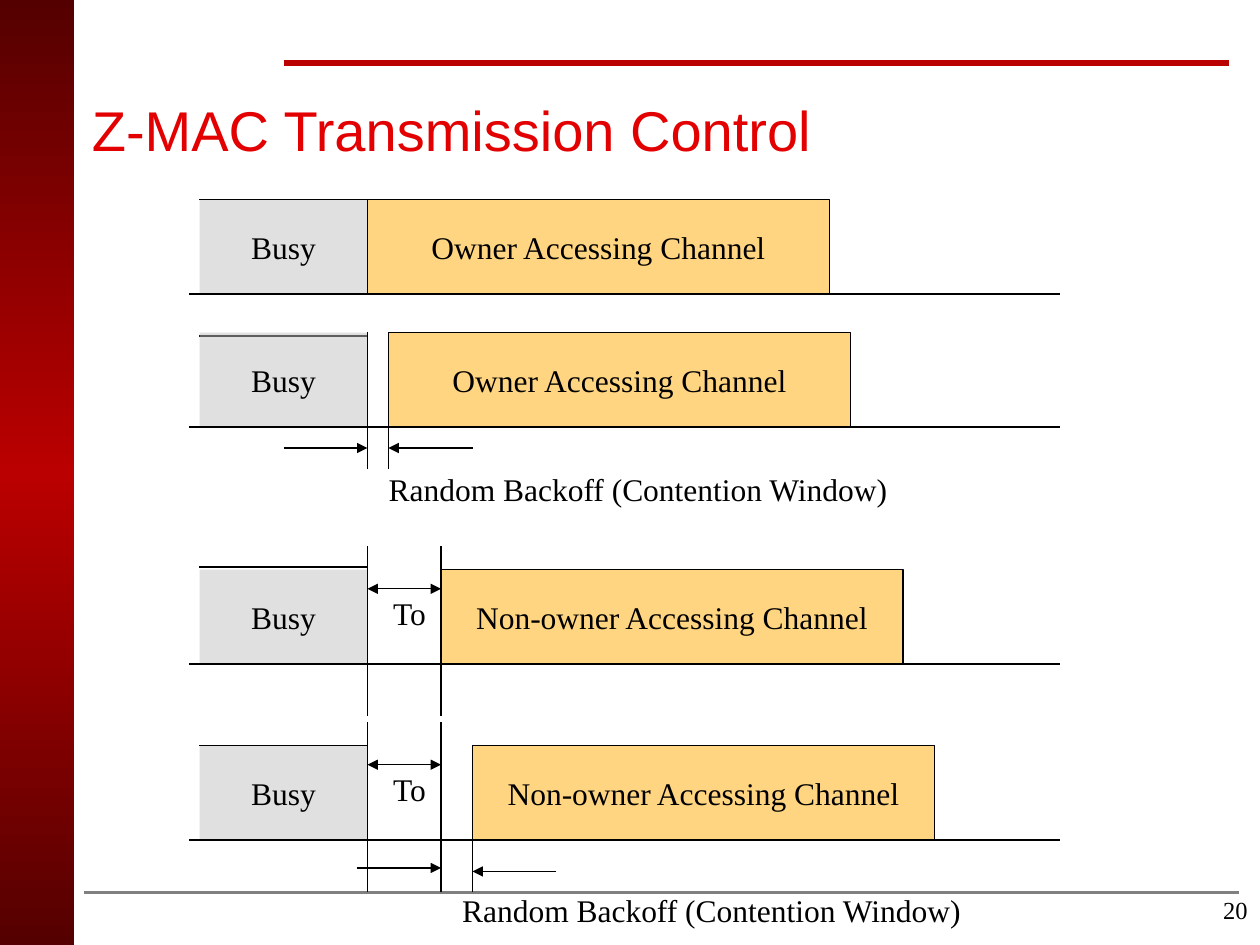
from copy import deepcopy

from lxml import etree
from pptx import Presentation
from pptx.dml.color import RGBColor
from pptx.enum import shapes, text
from pptx.oxml import ns
from pptx.util import Pt

BUSY, FREE, SLOT = 114, 210, 252  # x of busy start, busy end, To end
TALL, LONG = 54, 264  # height of a bar, width of an access bar
WAIT = "Random Backoff (Contention Window)"


def color(code):
    return RGBColor.from_string(code)


def sub(node, tag, **attrs):
    """Append a DrawingML element to a node."""
    return etree.SubElement(node, ns.qn("a:" + tag), **attrs)


def write(frame, words, size=18, font="Times New Roman", ink="000000",
          align="LEFT", anchor="TOP", wrap=False, inset=(7.2, 3.6),
          grow=False, space=None):
    frame.word_wrap = wrap
    frame.vertical_anchor = getattr(text.MSO_ANCHOR, anchor)
    frame.margin_left = frame.margin_right = Pt(inset[0])
    frame.margin_top = frame.margin_bottom = Pt(inset[1])
    if grow:
        frame.auto_size = text.MSO_AUTO_SIZE.SHAPE_TO_FIT_TEXT
    para = frame.paragraphs[0]
    para.alignment = getattr(text.PP_ALIGN, align)
    if space:
        para.line_spacing = space
    run = para.add_run()
    run.text = words
    run.font.size = Pt(size)
    run.font.name = font
    run.font.color.rgb = color(ink)


class Board:
    """Holds the style and the current slide."""
    ink, grey, gold = "000000", "C0C0C0", "FFCC66"
    thin = 0.75

    def __init__(self, slide):
        self.slide = slide

    def rect(self, x, y, w, h):
        box = self.slide.shapes.add_shape(
            shapes.MSO_SHAPE.RECTANGLE, Pt(x), Pt(y), Pt(w), Pt(h))
        box.shadow.inherit = False
        box.line.fill.background()
        return box

    def band(self, x, y, w, h, edge, core):
        """Draw a strip that fades from edge to core and back."""
        box = self.rect(x, y, w, h)
        box.fill.gradient()
        box.fill.gradient_angle = 90
        stops = box.fill.gradient_stops
        for stop, tint, spot in zip(stops, (edge, core), (0, 0.5)):
            stop.color.rgb = color(tint)
            stop.position = spot
        items = box._element.spPr.find(".//" + ns.qn("a:gsLst"))
        last = deepcopy(items[0])
        last.set("pos", "100000")
        items.append(last)

    def bar(self, x, y, w, words, fill, alpha, edge=False):
        box = self.rect(x, y, w, TALL)
        box.fill.solid()
        box.fill.fore_color.rgb = color(fill)
        tint = box._element.spPr.find(
            ns.qn("a:solidFill") + "/" + ns.qn("a:srgbClr"))
        sub(tint, "alpha", val=str(alpha * 1000))
        if edge:
            box.line.color.rgb = color(self.ink)
            box.line.width = Pt(self.thin)
        write(box.text_frame, words, align="CENTER", anchor="MIDDLE")

    def line(self, x1, y1, x2, y2, ink=ink, width=thin, ends=()):
        """Draw a line; ends lists headEnd and tailEnd for arrowheads."""
        rule = self.slide.shapes.add_connector(
            shapes.MSO_CONNECTOR.STRAIGHT, Pt(x1), Pt(y1), Pt(x2), Pt(y2))
        rule.line.color.rgb = color(ink)
        rule.line.width = Pt(width)
        props = rule._element.spPr
        for end in ends:
            sub(props.find(ns.qn("a:ln")), end, type="triangle")
        sub(props, "effectLst")

    def label(self, x, y, w, h, words, **style):
        box = self.slide.shapes.add_textbox(Pt(x), Pt(y), Pt(w), Pt(h))
        write(box.text_frame, words, **style)

    def row(self, y, x, who, cap):
        """Draw a time line: busy bar capped at cap, access bar from x."""
        if cap > y:  # the cap lies under the bar
            self.line(BUSY, cap, FREE, cap)
        self.bar(BUSY, y, FREE - BUSY, "Busy", self.grey, 49)
        self.line(108, y + TALL, 606, y + TALL)
        if cap <= y:
            self.line(BUSY, cap, FREE, cap)
        self.line(FREE, y, FREE, y + TALL)
        self.bar(x, y, LONG, who + " Accessing Channel", self.gold, 81, True)

    def delay(self, y):
        """Mark the fixed wait To in the row at y."""
        for x in (FREE, SLOT):
            self.line(x, y - 13.5, x, y + 83.5)
        self.label(217.5, y + 10.5, 34.5, 29, "To", grow=True)
        self.line(FREE, y + 11, SLOT, y + 11, ends=("headEnd", "tailEnd"))

    def backoff(self, left, right, top, rise, fall, note):
        """Mark the random wait between two x with inward arrows."""
        for x, y in zip((left, right), top):
            self.line(x, y, x, y + 30)
        self.line(left - 48, rise, left, rise, ends=("tailEnd",))
        self.line(right + 48, fall, right, fall, ends=("tailEnd",))
        self.label(*note, 301, 29, WAIT, grow=True)


def main():
    deck = Presentation()
    deck.slide_width, deck.slide_height = Pt(720), Pt(540)
    board = Board(deck.slides.add_slide(deck.slide_layouts[6]))

    board.label(552, 509.5, 168, 23, "20", size=14, align="RIGHT",
                wrap=True, grow=True, space=0.93)
    board.band(0, 0, 42.25, 540, "550000", "BA0000")
    board.line(162, 36, 702, 36, "BA0000", 3)
    board.line(48, 510, 708, 510, "808080", 1.5)
    board.label(52.5, 45, 614, 57, "Z-MAC Transmission Control", size=32,
                font="Arial", ink="E20000", anchor="MIDDLE", wrap=True,
                inset=(0, 0))

    board.row(325.5, SLOT, "Non-owner", 324)
    board.delay(325.5)
    board.row(114, FREE, "Owner", 114)
    board.row(190, 222, "Owner", 192)
    board.backoff(FREE, 222, (238, 238), 256, 256, (215, 265))
    board.row(426, 270, "Non-owner", 426)
    board.delay(426)
    board.backoff(SLOT, 270, (478, 480), 496, 498, (257, 505.5))

    deck.save("out.pptx")


if __name__ == "__main__":
    main()
